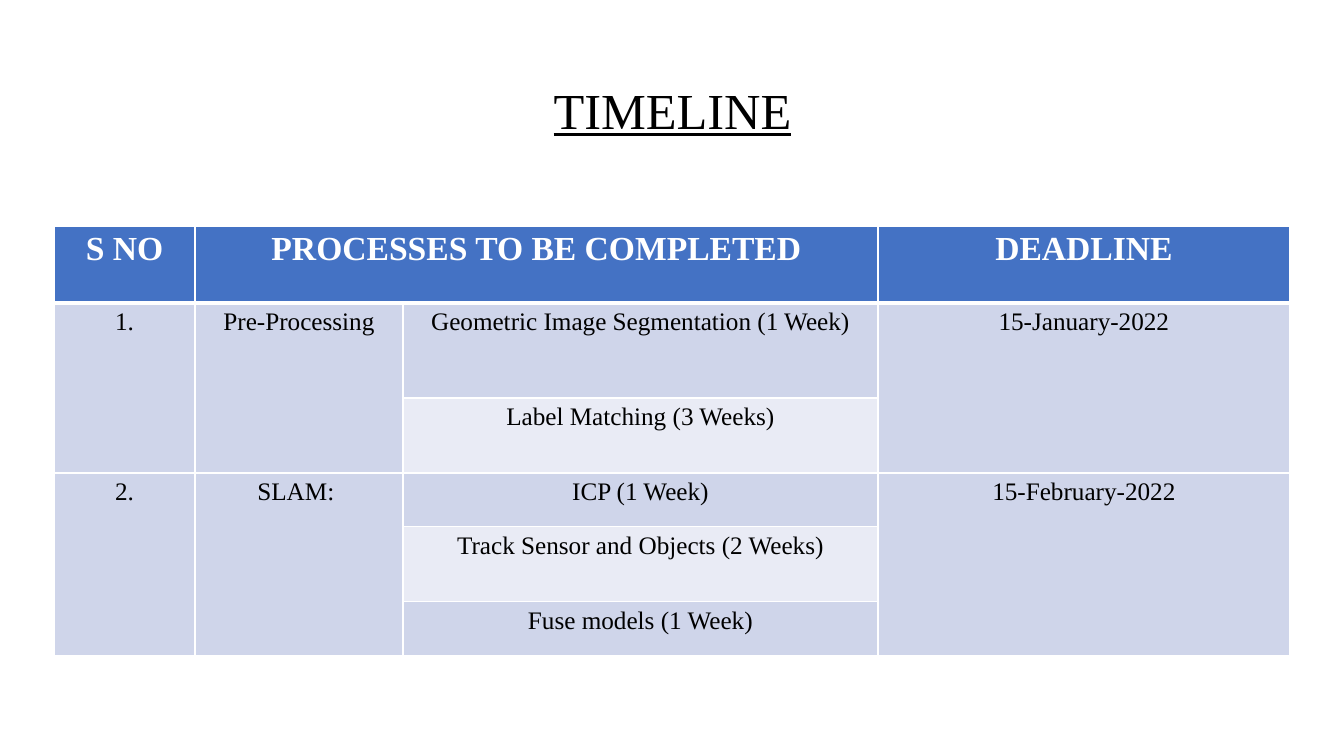
from itertools import product

from lxml.etree import SubElement
from pptx import Presentation
from pptx.dml.color import RGBColor
from pptx.enum.text import MSO_ANCHOR, PP_ALIGN
from pptx.oxml.ns import qn
from pptx.util import Emu, Pt

PX = 914400 / 100.8
FONT = "Times New Roman"
BLACK = RGBColor(0x00, 0x00, 0x00)
WHITE = RGBColor(0xFF, 0xFF, 0xFF)
BLUE = RGBColor(0x44, 0x72, 0xC4)
LAVENDER = RGBColor(0xCF, 0xD5, 0xEA)
PALE = RGBColor(0xE9, 0xEB, 0xF5)

COLUMN_WIDTHS = [141, 208, 475, 412]
HEADER_HEIGHT = 77
HEADINGS = ["S NO", "PROCESSES TO BE COMPLETED", "", "DEADLINE"]
STAGES = [
    ("1.", "Pre-Processing", "15-January-2022", [
        ("Geometric Image Segmentation (1 Week)", 95),
        ("Label Matching (3 Weeks)", 75),
    ]),
    ("2.", "SLAM: ", "15-February-2022", [
        ("ICP (1 Week)", 54),
        ("Track Sensor and Objects (2 Weeks)", 75),
        ("Fuse models (1 Week)", 54),
    ]),
]


def px(length):
    return Emu(round(length * PX))


def style_text(frame, size, color, bold=False, underline=False):
    paragraph = frame.paragraphs[0]
    paragraph.alignment = PP_ALIGN.CENTER
    for run in paragraph.runs:
        run.font.name = FONT
        run.font.size = Pt(size)
        run.font.color.rgb = color
        run.font.bold = bold
        run.font.underline = underline
    return paragraph


def draw_borders(cell, bottom_width):
    properties = cell._tc.get_or_add_tcPr()
    for side in "LRTB":
        width = bottom_width if side == "B" else 1
        line = SubElement(properties, qn(f"a:ln{side}"), w=str(Pt(width)))
        fill = SubElement(line, qn("a:solidFill"))
        SubElement(fill, qn("a:srgbClr"), val=str(WHITE))


def style_cell(cell, row):
    header = row == 0
    draw_borders(cell, 3 if header else 1)
    cell.fill.solid()
    cell.fill.fore_color.rgb = BLUE if header else LAVENDER
    style_text(cell.text_frame, 24 if header else 18, WHITE if header else BLACK, bold=header)


def add_title(slide, left, top, width, height):
    title = slide.shapes.title
    title.left, title.top, title.width, title.height = map(px, (left, top, width, height))
    title.text_frame.text = "TIMELINE"
    title.text_frame.vertical_anchor = MSO_ANCHOR.MIDDLE
    style_text(title.text_frame, 36, BLACK, underline=True).line_spacing = 0.9


def add_timeline(slide, left, top):
    task_heights = [height for stage in STAGES for _, height in stage[3]]
    heights = [HEADER_HEIGHT] + task_heights
    box = map(px, (left, top, sum(COLUMN_WIDTHS), sum(heights)))
    timeline = slide.shapes.add_table(len(heights), len(COLUMN_WIDTHS), *box).table
    for column, width in zip(timeline.columns, COLUMN_WIDTHS):
        column.width = px(width)
    for row, height in zip(timeline.rows, heights):
        row.height = px(height)

    for column, heading in enumerate(HEADINGS):
        timeline.cell(0, column).text_frame.text = heading
    first = 1
    for number, process, deadline, tasks in STAGES:
        for column, label in ((0, number), (1, process), (3, deadline)):
            timeline.cell(first, column).text_frame.text = label
        for row, (task, _) in enumerate(tasks, first):
            timeline.cell(row, 2).text_frame.text = task
        first += len(tasks)

    for row, column in product(range(len(heights)), range(len(COLUMN_WIDTHS))):
        style_cell(timeline.cell(row, column), row)

    timeline.cell(0, 1).merge(timeline.cell(0, 2))
    first = 1
    for *_, tasks in STAGES:
        last = first + len(tasks) - 1
        for column in (0, 1, 3):
            timeline.cell(first, column).merge(timeline.cell(last, column))
        for row in range(first + 1, last + 1, 2):
            timeline.cell(row, 2).fill.fore_color.rgb = PALE
        first = last + 1


def main():
    deck = Presentation()
    deck.slide_width, deck.slide_height = px(1344), px(756)
    slide = deck.slides.add_slide(deck.slide_layouts[5])
    add_title(slide, 93, 40, 1159, 146)
    add_timeline(slide, 54, 226)
    deck.save("out.pptx")


if __name__ == "__main__":
    main()
